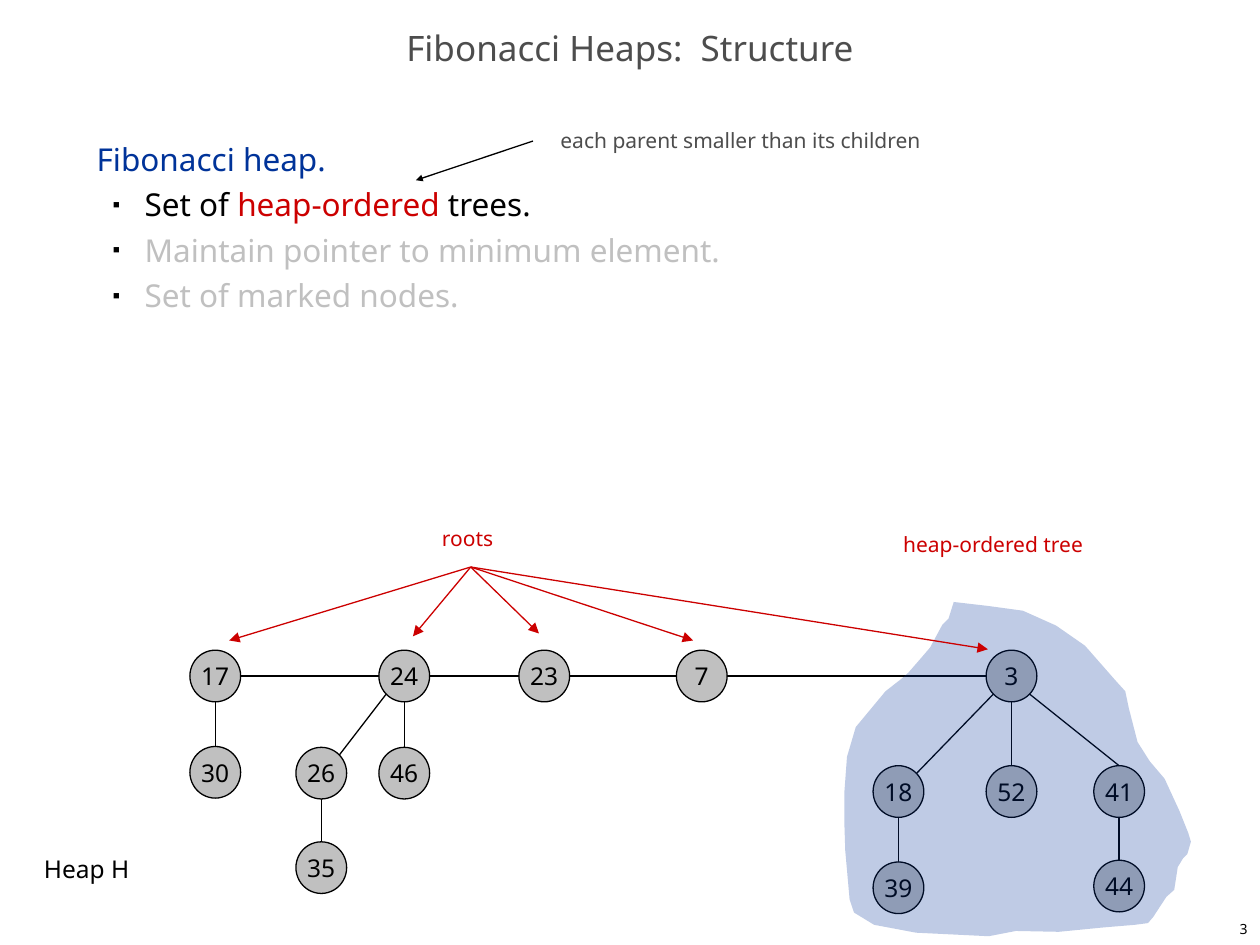
import pptx
import pptx.util
import pptx.dml.color
import pptx.enum.shapes
import pptx.enum.text
import pptx.oxml
import pptx.oxml.ns

Pt = pptx.util.Pt
RGB = pptx.dml.color.RGBColor
ALIGN = pptx.enum.text.PP_ALIGN
ANCHOR = pptx.enum.text.MSO_ANCHOR
NOFIT = pptx.enum.text.MSO_AUTO_SIZE.NONE

BLACK = RGB(0x00, 0x00, 0x00)
BLUE = RGB(0x00, 0x33, 0x99)
RED = RGB(0xCC, 0x00, 0x00)
GRAY = RGB(0xC0, 0xC0, 0xC0)
DARK = RGB(0x4D, 0x4D, 0x4D)
FONT = "Noto Sans"

WIDE, HIGH = 29, 29.5              # size of a node
SLANT = 10.2                       # offset of a diagonal point on its rim
SITES = {"top": (0, -HIGH / 2), "low": (0, HIGH / 2),
         "left": (-WIDE / 2, 0), "right": (WIDE / 2, 0),
         "ne": (SLANT, -SLANT), "sw": (-SLANT, SLANT), "se": (SLANT, SLANT)}

# Node centres, measured from the centre of the first root
NODES = {"17": (0, 0), "24": (108, 0), "23": (188, 0), "7": (278, 0), "3": (455, 0),
         "30": (0, 55), "26": (60.6, 55.5), "46": (108, 55.5), "35": (60.6, 109.5),
         "18": (390.4, 66), "52": (455, 66), "41": (516.5, 66),
         "39": (390.4, 121), "44": (516.5, 120)}
ROOTS = ["17", "24", "23", "7", "3"]
# Child, its site, parent, its site
EDGES = [("30", "top", "17", "low"), ("46", "top", "24", "low"),
         ("26", "ne", "24", "sw"), ("35", "top", "26", "low"),
         ("18", "ne", "3", "sw"), ("52", "top", "3", "low"),
         ("41", "top", "3", "se"), ("39", "top", "18", "low"),
         ("44", "top", "41", "low")]

RIM = [(65.5, 0), (85.3, 2.3), (105, 5), (124, 13.5), (140.5, 25), (158.5, 45.5),
       (163.5, 51), (165.5, 60.5), (170.5, 80), (177.5, 91), (186, 101),
       (194.5, 119.5), (199.5, 132), (201, 137), (199, 144), (196.5, 146.5),
       (193.5, 151.5), (191.5, 164.5), (187, 168.5), (179.5, 180), (176.5, 183.5),
       (169, 184.5), (151, 186), (125.5, 188.5), (101, 188), (85.5, 191),
       (44, 189), (28, 186), (20, 184.5), (8.5, 177.5), (6, 170), (3.5, 142),
       (3, 127), (3, 108.5), (4.5, 88.5), (9.5, 71.5), (14.5, 65.5), (26.5, 51),
       (35.5, 44), (39.5, 40.5), (46, 33), (52, 26), (59, 13), (62.5, 9.5)]


def apply(item, vals):
    for key, val in vals.items():
        setattr(item, key, val)


def place(shape, box):
    apply(shape, dict(zip(("left", "top", "width", "height"), map(Pt, box))))


def write(para, text, size, color):
    run = para.add_run()
    run.text = text
    apply(run.font, {"name": FONT, "size": Pt(size)})
    run.font.color.rgb = color


def add_xml(node, text):
    space = pptx.oxml.ns.nsdecls("a")
    node.append(pptx.oxml.parse_xml(text.replace("/>", f" {space}/>", 1)))


def label(slide, box, text, size, color, wrap=False, align=ALIGN.LEFT, anchor=ANCHOR.TOP):
    shape = slide.shapes.add_textbox(*map(Pt, box))
    apply(shape.text_frame, {"word_wrap": wrap, "vertical_anchor": anchor})
    para = shape.text_frame.paragraphs[0]
    para.alignment = align
    write(para, text, size, color)


def link(slide, start, end, color=BLACK, head=None):
    line = slide.shapes.add_connector(
        pptx.enum.shapes.MSO_CONNECTOR.STRAIGHT, *map(Pt, (*start, *end)))
    line.line.color.rgb = color
    line.line.width = Pt(0.75)
    if head:
        add_xml(line.line._get_or_add_ln(),
                f'<a:tailEnd type="triangle" w="{head}" len="{head}"/>')
    add_xml(line._element.spPr, "<a:effectLst/>")


def add_title(slide, box):
    shape = slide.shapes.title
    place(shape, box)
    apply(shape.text_frame, {"vertical_anchor": ANCHOR.MIDDLE, "auto_size": NOFIT})
    para = shape.text_frame.paragraphs[0]
    apply(para, {"alignment": ALIGN.CENTER, "line_spacing": 0.7})
    write(para, "Fibonacci Heaps:  Structure", 20, DARK)


def add_list(slide, box):
    shape = slide.placeholders[1]
    place(shape, box)
    frame = shape.text_frame
    apply(frame, {"auto_size": NOFIT, "vertical_anchor": ANCHOR.TOP})
    rows = [[("Fibonacci heap.", BLUE)],
            [("Set of ", BLACK), ("heap-ordered", RED), (" trees.", BLACK)],
            [("Maintain pointer to minimum element.", GRAY)],
            [("Set of marked nodes.", GRAY)]]
    for i, row in enumerate(rows):
        para = frame.add_paragraph() if i else frame.paragraphs[0]
        apply(para, {"level": min(i, 1), "line_spacing": Pt(26), "space_before": Pt(0)})
        props = para._p.get_or_add_pPr()
        left, hang = (27.4, -18) if i else (0, 0)
        props.set("marL", str(int(Pt(left))))
        props.set("indent", str(int(Pt(hang))))
        if i:
            props.append(pptx.oxml.parse_xml(
                f'<a:buClr {pptx.oxml.ns.nsdecls("a")}><a:srgbClr val="{BLACK}"/></a:buClr>'))
            add_xml(props, '<a:buSzPct val="35000"/>')
            add_xml(props, '<a:buChar char="■"/>')
        else:
            add_xml(props, "<a:buNone/>")
        for text, color in row:
            write(para, text, 18, color)


def add_heap(slide, left, top):
    def spot(name, site):
        (x, y), (dx, dy) = NODES[name], SITES[site]
        return left + x + dx, top + y + dy

    # Root chain and tree edges
    chain = [(a, "right", b, "left") for a, b in zip(ROOTS, ROOTS[1:])]
    for low, start, high, end in chain + EDGES:
        link(slide, spot(low, start), spot(high, end))
    # Nodes
    for name, (x, y) in NODES.items():
        node = slide.shapes.add_shape(
            pptx.enum.shapes.MSO_SHAPE.OVAL,
            *map(Pt, (left + x - WIDE / 2, top + y - HIGH / 2, WIDE, HIGH)))
        node.shadow.inherit = False
        node.fill.solid()
        node.fill.fore_color.rgb = GRAY
        node.line.color.rgb = BLACK
        node.line.width = Pt(0.75)
        apply(node.text_frame, {"word_wrap": False, "vertical_anchor": ANCHOR.MIDDLE})
        para = node.text_frame.paragraphs[0]
        para.alignment = ALIGN.CENTER
        write(para, name, 14, BLACK)


def add_cloud(slide, left, top):
    rim = [(Pt(left + x), Pt(top + y)) for x, y in RIM]
    build = slide.shapes.build_freeform(*rim[0])
    build.add_line_segments(rim[1:], close=True)
    cloud = build.convert_to_shape()
    cloud.shadow.inherit = False
    cloud.fill.solid()
    cloud.fill.fore_color.rgb = BLUE
    cloud.line.fill.background()
    shade = cloud._element.spPr.find(".//" + pptx.oxml.ns.qn("a:srgbClr"))
    add_xml(shade, '<a:alpha val="25000"/>')


def add_notes(slide):
    # Labels
    label(slide, (18, 484.6, 65.5, 23.8), "Heap H", 14, BLACK)
    label(slide, (245.5, 296.6, 50.4, 21.6), "roots", 12, RED)
    label(slide, (509, 300.2, 137.5, 21.6), "heap-ordered tree", 12, RED)
    label(slide, (313.2, 69.1, 220.3, 21.6), "each parent smaller than its children", 12, DARK)
    label(slide, (570, 522, 150, 18), "3", 8, BLACK, True, ALIGN.RIGHT, ANCHOR.MIDDLE)
    # Arrows
    for tip in [(131, 366), (236, 363.6), (308, 362), (396, 366), (564.5, 371)]:
        link(slide, (269, 324), tip, RED, "med")
    link(slide, (304.6, 80.6), (237.6, 103), BLACK, "sm")


def main():
    deck = pptx.Presentation()
    apply(deck, {"slide_width": Pt(720), "slide_height": Pt(540)})
    slide = deck.slides.add_slide(deck.slide_layouts[1])
    add_title(slide, (0, 12, 720, 36))
    add_list(slide, (48, 72, 618, 426))
    add_heap(slide, 123, 386.3)
    add_cloud(slide, 479.5, 344)
    add_notes(slide)
    deck.save("out.pptx")


if __name__ == "__main__":
    main()
